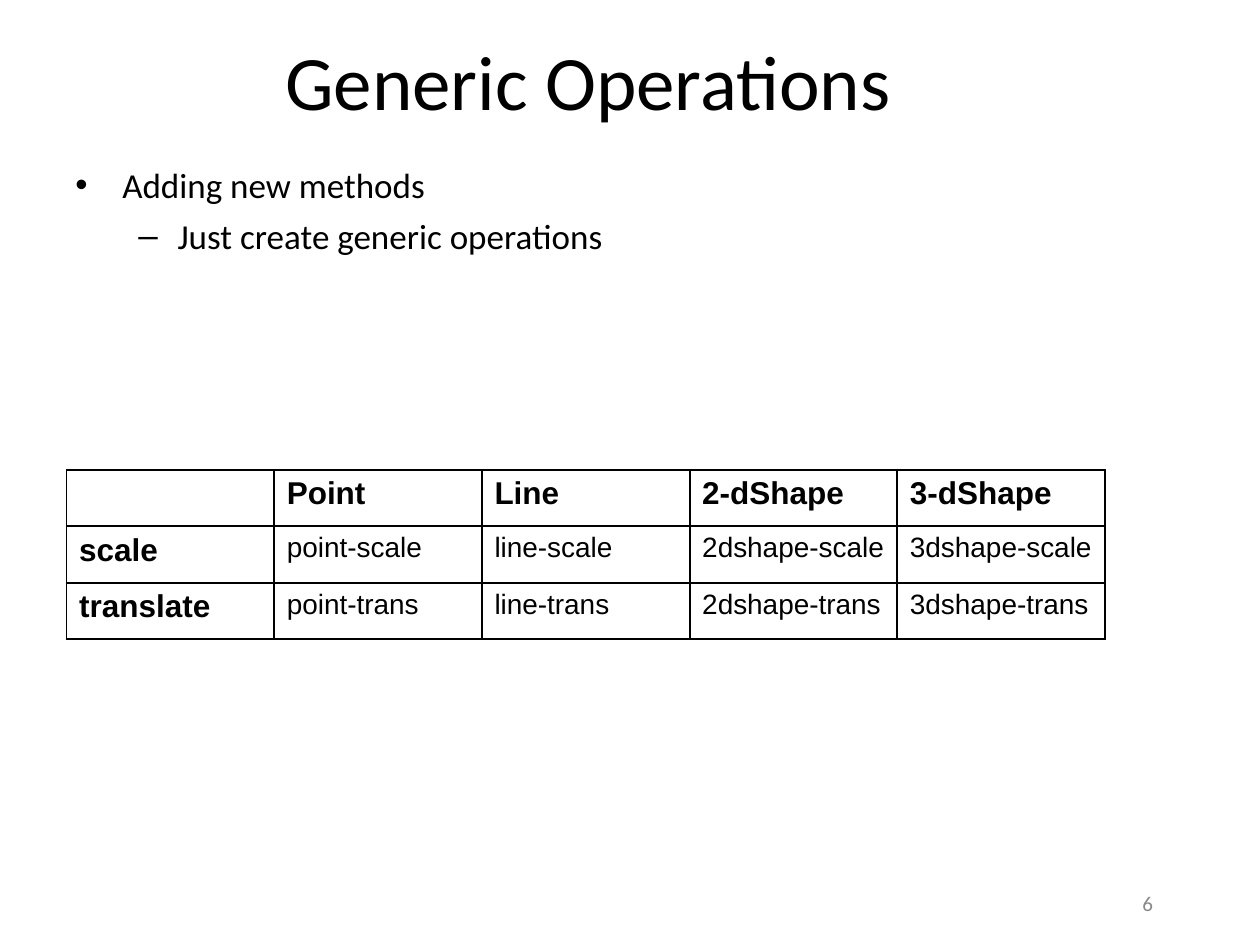
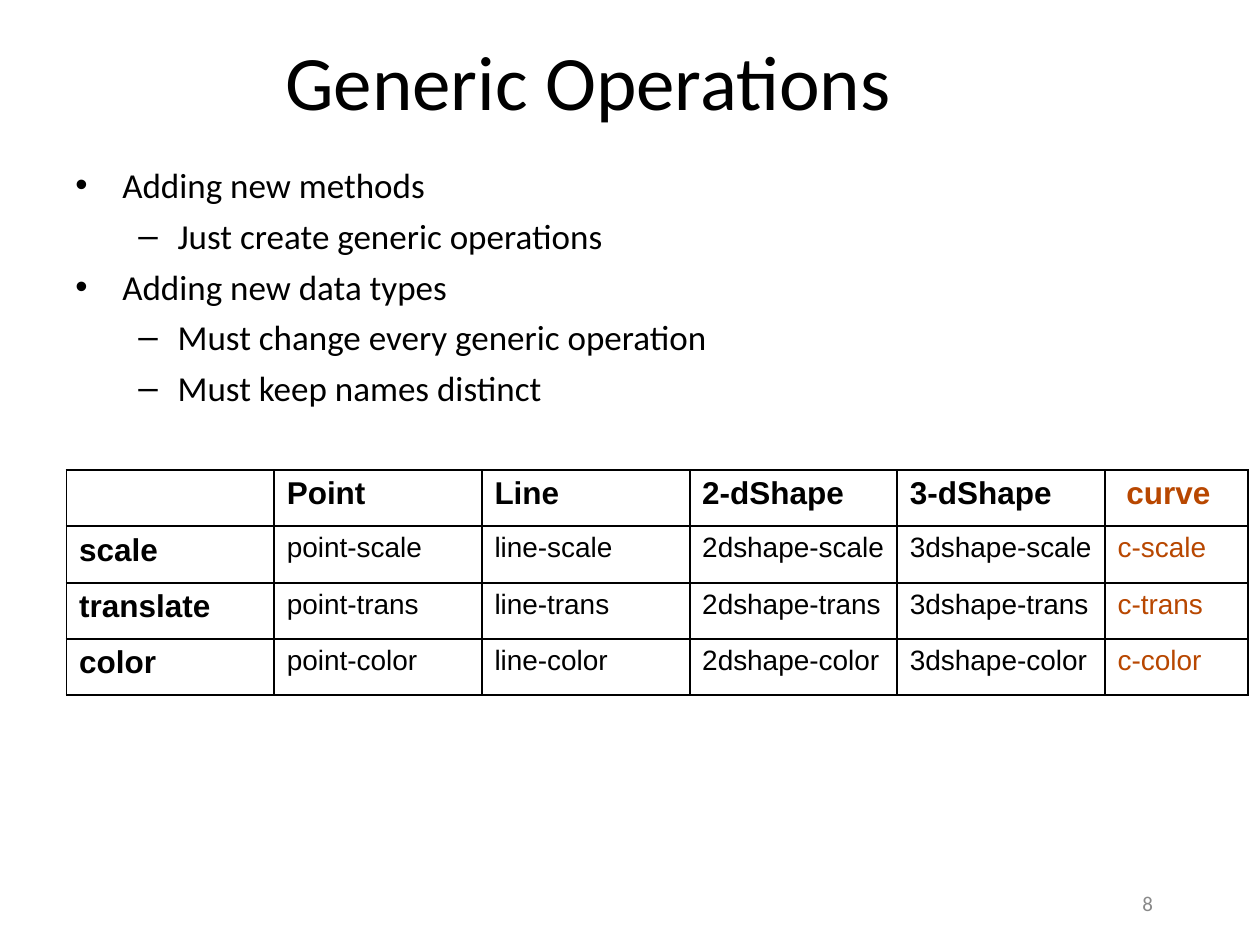
from lxml.etree import SubElement as Sub
from pptx import Presentation
from pptx.dml.color import RGBColor
from pptx.enum.text import MSO_ANCHOR as Anchor, MSO_AUTO_SIZE as Fit, PP_ALIGN as Align
from pptx.oxml.ns import qn
from pptx.util import Pt

BLACK = RGBColor(0, 0, 0)
GRAY = RGBColor(0x89, 0x89, 0x89)
RUST = RGBColor(0xB8, 0x47, 0x00)

TITLE = "Generic Operations"
# Each level: bullet, text indent, hanging width
LEVELS = [("•", 26.8, 26.8), ("–", 58.4, 22.4)]
METHODS = [(0, "Adding new methods"), (1, "Just create generic operations")]
TYPES = [
    (0, "Adding new data types"),
    (1, "Must change every generic operation"),
    (1, "Must keep names distinct"),
]
SHAPES = [("Point", "point"), ("Line", "line"),
          ("2-dShape", "2dshape"), ("3-dShape", "3dshape")]
CURVE = ("curve", "c")
SCALE, TRANS, COLOR = ("scale", "scale"), ("translate", "trans"), ("color", "color")

# Each slide: page number, bullet points, data types, operations
PAGES = [
    (6, METHODS, SHAPES, [SCALE, TRANS]),
    (8, METHODS + TYPES, SHAPES + [CURVE], [SCALE, TRANS, COLOR]),
]
TOP, LEFT = 268.6, 38
WIDE, SLIM, HIGH = 118.7, 81.6, 32.2


def write(para, text, size=20, font="Calibri", color=BLACK, bold=False,
          align=Align.LEFT):
    para.alignment = align
    run = para.add_run()
    run.text = text
    run.font.size = Pt(size)
    run.font.name = font
    run.font.bold = bold
    run.font.color.rgb = color


def frame(cell):
    """Give a cell thin black borders and no fill."""
    props = cell._tc.get_or_add_tcPr()
    for side in ("lnL", "lnR", "lnT", "lnB"):
        line = Sub(props, qn(f"a:{side}"), w=str(Pt(1.13)))
        Sub(Sub(line, qn("a:solidFill")), qn("a:srgbClr"), val=str(BLACK))
    cell.fill.background()


deck = Presentation()
deck.slide_width, deck.slide_height = Pt(720), Pt(540)

for number, points, types, tasks in PAGES:
    slide = deck.slides.add_slide(deck.slide_layouts[5])

    # Page number
    box = slide.shapes.add_textbox(Pt(491.8), Pt(504), Pt(174.2), Pt(23.8))
    box.text_frame.word_wrap = True
    box.text_frame.vertical_anchor = Anchor.MIDDLE
    write(box.text_frame.paragraphs[0], str(number), size=12, color=GRAY,
          align=Align.RIGHT)

    # Title
    title = slide.shapes.title
    title.left, title.top = Pt(30.2), Pt(12.2)
    title.width, title.height = Pt(612), Pt(66.2)
    title.text_frame.auto_size = Fit.NONE
    title.text_frame.vertical_anchor = Anchor.MIDDLE
    write(title.text_frame.paragraphs[0], TITLE, size=44, align=Align.CENTER)

    # Bullet points
    body = slide.shapes.add_textbox(Pt(36), Pt(90), Pt(654.5), Pt(170)).text_frame
    body.word_wrap = True
    for i, (level, text) in enumerate(points):
        para = body.add_paragraph() if i else body.paragraphs[0]
        mark, indent, hang = LEVELS[level]
        para.level = level
        if i:
            para.space_before = Pt(5)
        props = para._p.get_or_add_pPr()
        props.set("marL", str(Pt(indent)))
        props.set("indent", str(-Pt(hang)))
        Sub(Sub(props, qn("a:buClr")), qn("a:srgbClr"), val=str(BLACK))
        Sub(props, qn("a:buFont"), typeface="Arial")
        Sub(props, qn("a:buChar"), char=mark)
        write(para, text)

    # Table: one column per data type, one row per operation
    heads = [""] + [name for name, stem in types]
    rows = [heads] + [
        [name] + [f"{stem}-{end}" for _, stem in types] for name, end in tasks
    ]
    widths = [SLIM if name == CURVE[0] else WIDE for name in heads]
    grid = slide.shapes.add_table(
        len(rows), len(heads), Pt(LEFT), Pt(TOP),
        Pt(sum(widths)), Pt(HIGH * len(rows))).table
    grid.first_row = grid.horz_banding = False
    for col, width in zip(grid.columns, widths):
        col.width = Pt(width)
    for r, row in enumerate(rows):
        grid.rows[r].height = Pt(HIGH)
        for c, text in enumerate(row):
            cell = grid.cell(r, c)
            frame(cell)
            if not text:
                continue
            head = r == 0 or c == 0
            if text == CURVE[0]:
                cell.margin_left = Pt(12.2)
            write(cell.text_frame.paragraphs[0], text, size=18 if head else 16,
                  font="Arial", bold=head,
                  color=RUST if heads[c] == CURVE[0] else BLACK)

deck.save("out.pptx")
